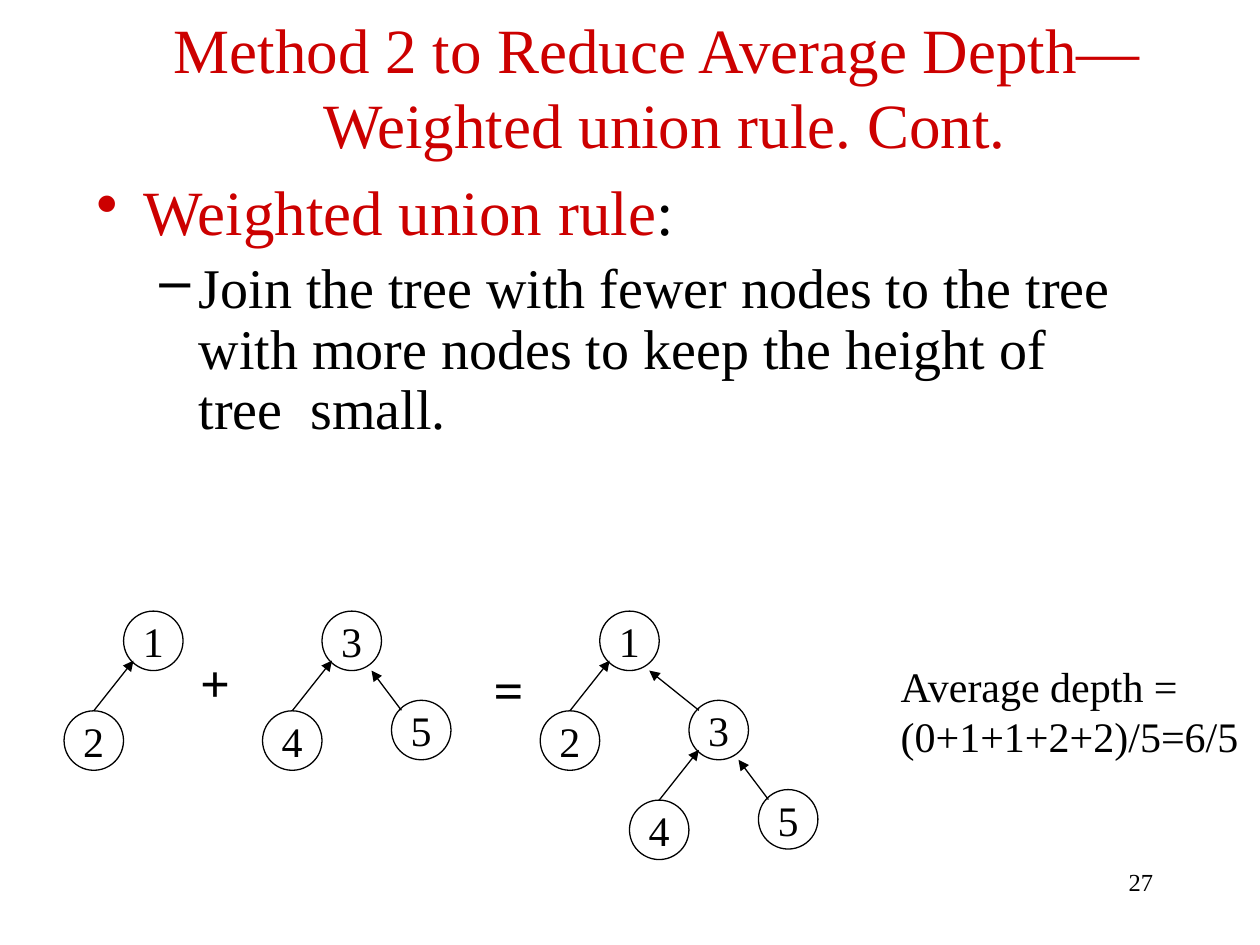
from dataclasses import dataclass

from lxml import etree
from pptx import Presentation
from pptx.dml.color import RGBColor
from pptx.enum.shapes import MSO_CONNECTOR, MSO_SHAPE
from pptx.enum.text import MSO_ANCHOR, MSO_AUTO_SIZE, PP_ALIGN
from pptx.oxml.ns import qn
from pptx.slide import Slide
from pptx.util import Pt

STRAIGHT = MSO_CONNECTOR.STRAIGHT
OVAL = MSO_SHAPE.OVAL
MIDDLE = MSO_ANCHOR.MIDDLE
NO_AUTOFIT = MSO_AUTO_SIZE.NONE
LEFT, CENTER, RIGHT = PP_ALIGN.LEFT, PP_ALIGN.CENTER, PP_ALIGN.RIGHT

COLORS = {"accent": "CC0000", "ink": "000000"}

NODE = 34             # diameter of a tree node
EDGE = 5.7            # inset of an arrow end from a node's bounding box
LEFT_CHILD = (-34, 57)
RIGHT_CHILD = (39.7, 51)
NEAR_RIGHT_CHILD = (51, 51)
ROOT_TOP = 349.2


def color(name):
    return RGBColor.from_string(COLORS[name])


def write(paragraph, *parts, size, align=LEFT, bold=False, bullet=None,
          margin=0, hang=0, line_spacing=None, space_before=None):
    """Fill a paragraph with (text, colour name) parts; a newline is a line break."""
    if bullet:
        properties = paragraph._p.get_or_add_pPr()
        properties.set("marL", str(Pt(margin)))
        properties.set("indent", str(Pt(-hang)))
        etree.SubElement(properties, qn("a:buChar"), char=bullet)
    paragraph.alignment = align
    if line_spacing is not None:
        paragraph.line_spacing = line_spacing
    if space_before is not None:
        paragraph.space_before = Pt(space_before)
    for text, ink in parts:
        for index, line in enumerate(text.split("\n")):
            if index:
                paragraph.add_line_break()
            run = paragraph.add_run()
            run.text = line
            run.font.name = "Times New Roman"
            run.font.size = Pt(size)
            run.font.bold = bold
            run.font.color.rgb = color(ink)


@dataclass
class TreeSlide:
    slide: Slide
    node_size: float = 24
    line_width: float = 0.75

    def title(self, text, left, top, width, height):
        title = self.slide.shapes.title
        title.left, title.top = Pt(left), Pt(top)
        title.width, title.height = Pt(width), Pt(height)
        frame = title.text_frame
        frame.auto_size = NO_AUTOFIT
        frame.vertical_anchor = MIDDLE
        write(frame.paragraphs[0], (text, "accent"), size=36, align=CENTER)

    def frame(self, left, top, width, height, wrap=True):
        box = self.slide.shapes.add_textbox(Pt(left), Pt(top), Pt(width), Pt(height))
        box.text_frame.word_wrap = wrap
        return box.text_frame

    def label(self, lines, left, top, width, height, wrap=False, **style):
        frame = self.frame(left, top, width, height, wrap)
        for index, line in enumerate(lines):
            paragraph = frame.add_paragraph() if index else frame.paragraphs[0]
            write(paragraph, (line, "ink"), **style)

    def node(self, text, left, top):
        circle = self.slide.shapes.add_shape(OVAL, Pt(left), Pt(top), Pt(NODE), Pt(NODE))
        circle.shadow.inherit = False
        circle.fill.background()
        circle.line.color.rgb = color("ink")
        circle.line.width = Pt(self.line_width)
        frame = circle.text_frame
        frame.word_wrap = False
        frame.vertical_anchor = MIDDLE
        write(frame.paragraphs[0], (text, "ink"), size=self.node_size, align=CENTER)
        return circle

    def arrow(self, start, end):
        arrow = self.slide.shapes.add_connector(STRAIGHT, *map(Pt, start + end))
        arrow.line.color.rgb = color("ink")
        arrow.line.width = Pt(self.line_width)
        etree.SubElement(arrow.line._get_or_add_ln(), qn("a:tailEnd"), type="triangle")
        etree.SubElement(arrow._element.spPr, qn("a:effectLst"))
        return arrow

    def tree(self, shape, left, top):
        """Draw (label, left subtree, right subtree, right offset), arrows to the parent."""
        label, left_tree, right_tree, right_offset = shape
        root = self.node(label, left, top)
        if left_tree:
            x, y = left + LEFT_CHILD[0], top + LEFT_CHILD[1]
            child = self.tree(left_tree, x, y)
            arrow = self.arrow((x + NODE / 2, y), (left + EDGE, top + NODE - EDGE))
            arrow.begin_connect(child, 0)
        if right_tree:
            x, y = left + right_offset[0], top + right_offset[1]
            self.tree(right_tree, x, y)
            self.arrow((x + EDGE, y + EDGE), (left + NODE - EDGE, top + NODE))
        return root


def leaf(label):
    return label, None, None, None


def main():
    deck = Presentation()
    deck.slide_width, deck.slide_height = Pt(720), Pt(540)
    page = TreeSlide(deck.slides.add_slide(deck.slide_layouts[5]))

    page.title("Method 2 to Reduce Average Depth—\n Weighted union rule. Cont.",
               31, 26, 689, 46)

    rule = page.frame(48, 100, 612, 324)
    write(rule.paragraphs[0], ("Weighted union rule", "accent"), (":", "ink"),
          size=36, bullet="•", margin=27, hang=27, line_spacing=0.9)
    write(rule.add_paragraph(),
          ("Join the tree with fewer nodes to the tree with more nodes "
           "to keep the height of tree  small.", "ink"),
          size=32, bullet="–", margin=58.5, hang=22.5, line_spacing=0.9,
          space_before=6.4)

    small_tree = ("1", leaf("2"), None, None)
    large_tree = ("3", leaf("4"), leaf("5"), RIGHT_CHILD)
    joined_tree = ("1", leaf("2"), large_tree, NEAR_RIGHT_CHILD)
    for tree, left in ((small_tree, 70.6), (large_tree, 184), (joined_tree, 342.7)):
        page.tree(tree, left, ROOT_TOP)

    for sign, left, top in (("+", 107.3, 368), ("=", 275, 372.2)):
        page.label([sign], left, top, 31.7, 43.2, size=30, bold=True)
    page.label(["Average depth =", "(0+1+1+2+2)/5=6/5"],
               507.6, 373.7, 207.4, 64.8, size=24)
    page.label(["27"], 516, 492, 150, 36, wrap=True, size=14, align=RIGHT)

    deck.save("out.pptx")


if __name__ == "__main__":
    main()
